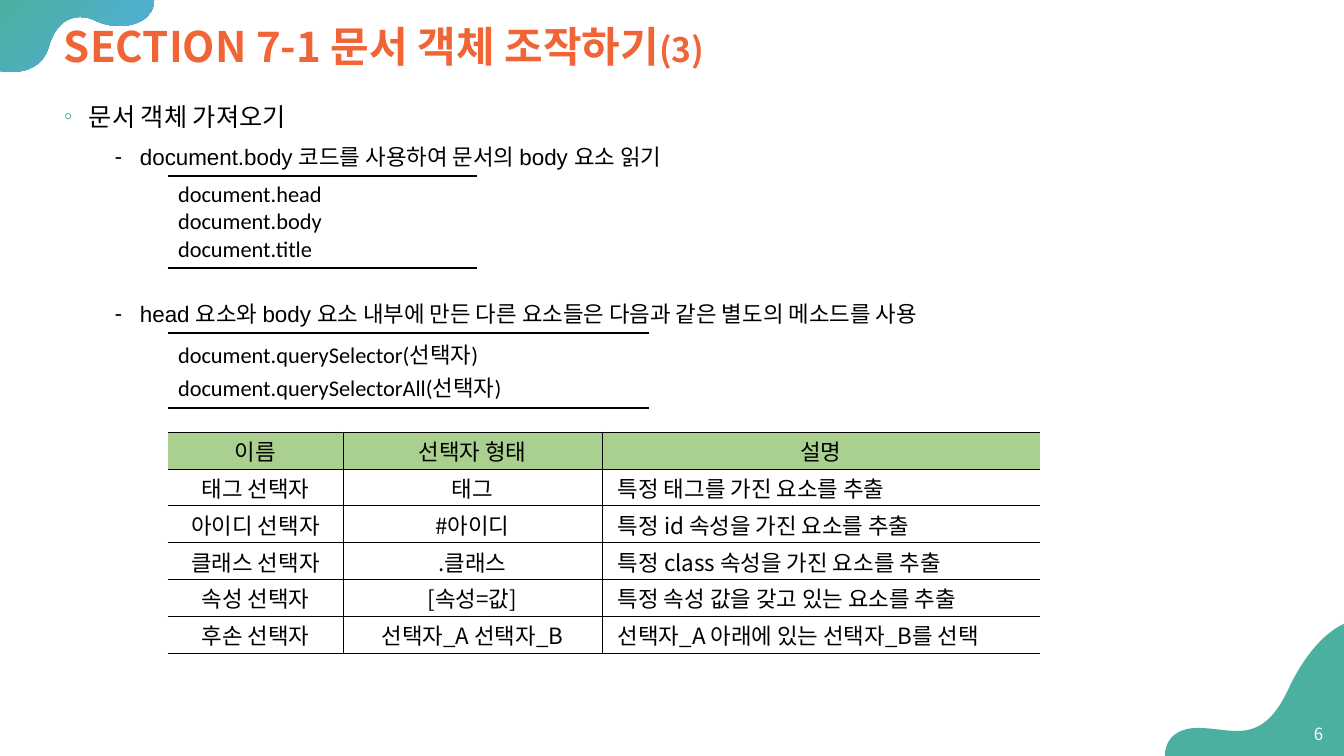
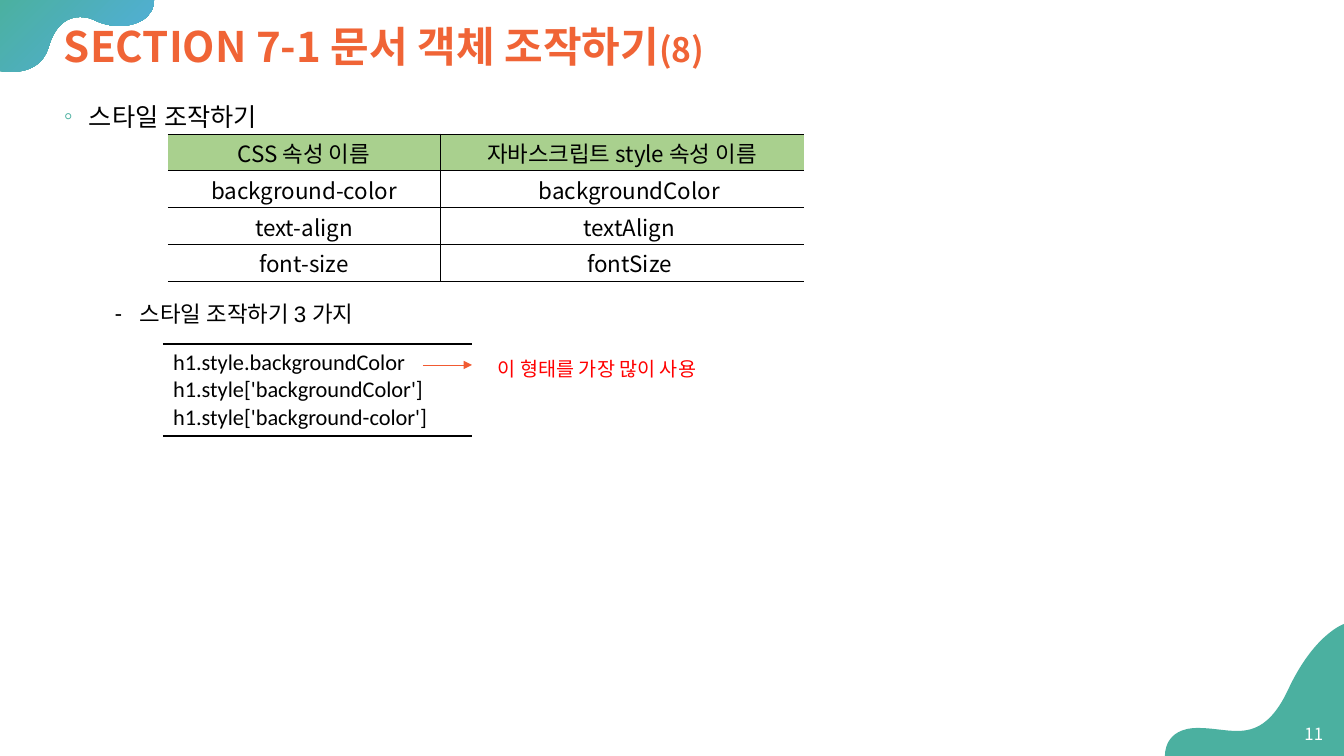
from lxml import etree
from pptx import Presentation
from pptx.dml.color import RGBColor
from pptx.enum.shapes import MSO_CONNECTOR
from pptx.enum.text import MSO_ANCHOR as Anchor, PP_ALIGN as Align
from pptx.oxml.ns import qn
from pptx.util import Pt

PX = 12192000 / 1344
TEAL = RGBColor(0x4B, 0xB0, 0xA0)
SKY = RGBColor(0x52, 0xAE, 0xE1)
ORANGE = RGBColor(0xF0, 0x64, 0x36)
ARROW = RGBColor(0xF1, 0x5A, 0x31)
RED = RGBColor(0xFF, 0x00, 0x00)
GREEN = RGBColor(0xA9, 0xD0, 0x8E)
BLACK = RGBColor(0x00, 0x00, 0x00)
WHITE = RGBColor(0xFF, 0xFF, 0xFF)
KOREAN, BODY, CODE = "Noto Sans CJK KR", "Arial", "Calibri"

WAVES = [
    ([(154, 0), (0, 0), (0, 71)],
     [(0, 71, 4, 72, 11, 72), (24, 72, 43, 68, 49, 46), (56, 23, 69, 17, 80, 17),
      (85, 17, 90, 18, 94, 20), (102, 24, 111, 26, 119, 26), (138, 26, 154, 17, 154, 0)]),
    ([(1344, 756), (1344, 624)],
     [(1344, 624, 1314, 634, 1288, 690), (1272, 724, 1255, 731, 1237, 731),
      (1225, 731, 1212, 728, 1198, 728), (1163, 728, 1165, 756, 1165, 756)]),
]

PAGES = [
    {
        "part": "(3)", "number": "6",
        "bullets": [
            ("문서 객체 가져오기", 0),
            ("document.body 코드를 사용하여 문서의 body 요소 읽기", 5),
            ("head 요소와 body 요소 내부에 만든 다른 요소들은 다음과 같은 별도의 메소드를 사용", 89),
        ],
        "codes": [
            (168, 176, 309, 92, "document.head\ndocument.body\ndocument.title"),
            (168, 333, 481, 75, "document.querySelector(선택자)\ndocument.querySelectorAll(선택자)"),
        ],
        "grid": (168, 432, [175, 259, 438], 221, [
            ["이름", "선택자 형태", "설명"],
            ["태그 선택자", "태그", "특정 태그를 가진 요소를 추출"],
            ["아이디 선택자", "#아이디", "특정 id 속성을 가진 요소를 추출"],
            ["클래스 선택자", ".클래스", "특정 class 속성을 가진 요소를 추출"],
            ["속성 선택자", "[속성=값]", "특정 속성 값을 갖고 있는 요소를 추출"],
            ["후손 선택자", "선택자_A 선택자_B", "선택자_A 아래에 있는 선택자_B를 선택"],
        ]),
        "last_column": Align.LEFT,
    },
    {
        "part": "(8)", "number": "11",
        "bullets": [("스타일 조작하기", 0), ("스타일 조작하기 3 가지", 117)],
        "codes": [
            (163, 344, 309, 92,
             "h1.style.backgroundColor\nh1.style['backgroundColor']\nh1.style['background-color']"),
        ],
        "grid": (168, 134, [272, 364], 147, [
            ["CSS 속성 이름", "자바스크립트 style 속성 이름"],
            ["background-color", "backgroundColor"],
            ["text-align", "textAlign"],
            ["font-size", "fontSize"],
        ]),
        "last_column": Align.CENTER,
    },
]


def style_text(para, name, size, color):
    para.font.name = name
    para.font.size = Pt(size)
    para.font.color.rgb = color
    etree.SubElement(para.font._element, qn("a:ea"), typeface=KOREAN)


def add_ruled_table(page, left, top, widths, height, rows, font_name, line_width):
    place = [round(n * PX) for n in (left, top, sum(widths), height)]
    table = page.shapes.add_table(len(rows), len(widths), *place).table
    table.first_row = table.horz_banding = False
    for column, width in zip(table.columns, widths):
        column.width = round(width * PX)
    for r, row in enumerate(rows):
        for c, text in enumerate(row):
            cell = table.cell(r, c)
            cell.text = text
            cell.fill.background()
            for para in cell.text_frame.paragraphs:
                style_text(para, font_name, 16, BLACK)
            edges = {"a:lnL": c > 0, "a:lnR": c < len(row) - 1, "a:lnT": True, "a:lnB": True}
            properties = cell._tc.get_or_add_tcPr()
            for position, (tag, drawn) in enumerate(edges.items()):
                line = etree.Element(qn(tag), w=str(Pt(line_width)))
                properties.insert(position, line)
                fill = etree.SubElement(line, qn("a:solidFill" if drawn else "a:noFill"))
                if drawn:
                    etree.SubElement(fill, qn("a:srgbClr"), val=str(BLACK))
    return table


deck = Presentation()
deck.slide_width = round(1344 * PX)
deck.slide_height = round(756 * PX)

for content in PAGES:
    page = deck.slides.add_slide(deck.slide_layouts[6])

    for corners, curves in WAVES:
        outline = page.shapes.build_freeform(*corners[0], scale=PX)
        outline.add_line_segments(corners[1:] + [curve[4:] for curve in curves], close=True)
        wave = outline.convert_to_shape()
        left, top = round(wave.left / PX), round(wave.top / PX)
        segments = list(wave._element.iter(qn("a:lnTo")))[len(corners) - 1:]
        for segment, curve in zip(segments, curves):
            bezier = etree.Element(qn("a:cubicBezTo"))
            for x, y in zip(curve[::2], curve[1::2]):
                etree.SubElement(bezier, qn("a:pt"), x=str(x - left), y=str(y - top))
            segment.getparent().replace(segment, bezier)
        wave.shadow.inherit = False
        wave.line.fill.background()
        if corners[0] == (154, 0):
            wave.fill.gradient()
            wave.fill.gradient_angle = 315
            for stop, color in zip(wave.fill.gradient_stops, (TEAL, SKY)):
                stop.color.rgb = color
        else:
            wave.fill.solid()
            wave.fill.fore_color.rgb = TEAL

    title, body, number = [
        page.shapes.add_textbox(*[round(n * PX) for n in place]).text_frame
        for place in ((54, 12, 1244, 74), (54, 90, 1244, 552), (1289, 714, 44, 40))]
    title.word_wrap = body.word_wrap = number.word_wrap = True
    title.vertical_anchor = number.vertical_anchor = Anchor.MIDDLE

    para = title.paragraphs[0]
    para.line_spacing = 0.9
    style_text(para, KOREAN, 30, ORANGE)
    para.font.bold = True
    for text, size in (("SECTION 7-1 문서 객체 조작하기", 30), (content["part"], 24)):
        span = para.add_run()
        span.text = text
        span.font.size = Pt(size)

    for index, (text, gap) in enumerate(content["bullets"]):
        para = body.add_paragraph() if index else body.paragraphs[0]
        para.text = text
        para.line_spacing = 1.2
        para.space_before = Pt(gap)
        para.level = min(index, 1)
        properties = para._p.get_or_add_pPr()
        properties.set("marL", str(round((76 if index else 25) * PX)))
        properties.set("indent", str(round(-25 * PX)))
        bullet_color = etree.SubElement(properties, qn("a:buClr"))
        etree.SubElement(bullet_color, qn("a:srgbClr"), val=str(BLACK if index else TEAL))
        etree.SubElement(properties, qn("a:buFont"), typeface=BODY)
        etree.SubElement(properties, qn("a:buChar"), char="⁃" if index else "◦")
        style_text(para, BODY, 16 if index else 18, BLACK)

    for left, top, width, height, code in content["codes"]:
        add_ruled_table(page, left, top, [width], height, [[code]], CODE, 1)

    grid = add_ruled_table(page, *content["grid"], KOREAN, 0.5)
    last = len(grid.columns) - 1
    for r, row in enumerate(grid.rows):
        for c, cell in enumerate(row.cells):
            in_last = r > 0 and c == last
            cell.vertical_anchor = Anchor.MIDDLE
            cell.margin_left = round((16 if in_last else 1) * PX)
            cell.margin_right = cell.margin_top = round(PX)
            cell.margin_bottom = 0
            cell.text_frame.paragraphs[0].alignment = content["last_column"] if in_last else Align.CENTER
            if r == 0:
                cell.fill.solid()
                cell.fill.fore_color.rgb = GREEN

    para = number.paragraphs[0]
    para.text = content["number"]
    para.alignment = Align.RIGHT
    style_text(para, KOREAN, 12, WHITE)

callout = page.shapes.add_textbox(*[round(n * PX) for n in (488, 352, 271, 34)])
callout.text_frame.word_wrap = True
para = callout.text_frame.paragraphs[0]
para.text = "이 형태를 가장 많이 사용"
style_text(para, CODE, 14, RED)

ends = [round(n * PX) for n in (423, 365, 472, 365)]
arrow = page.shapes.add_connector(MSO_CONNECTOR.STRAIGHT, *ends)
arrow.line.color.rgb = ARROW
arrow.line.width = Pt(0.5)
etree.SubElement(arrow.line._get_or_add_ln(), qn("a:tailEnd"), type="triangle")
etree.SubElement(arrow._element.spPr, qn("a:effectLst"))

deck.save("out.pptx")
